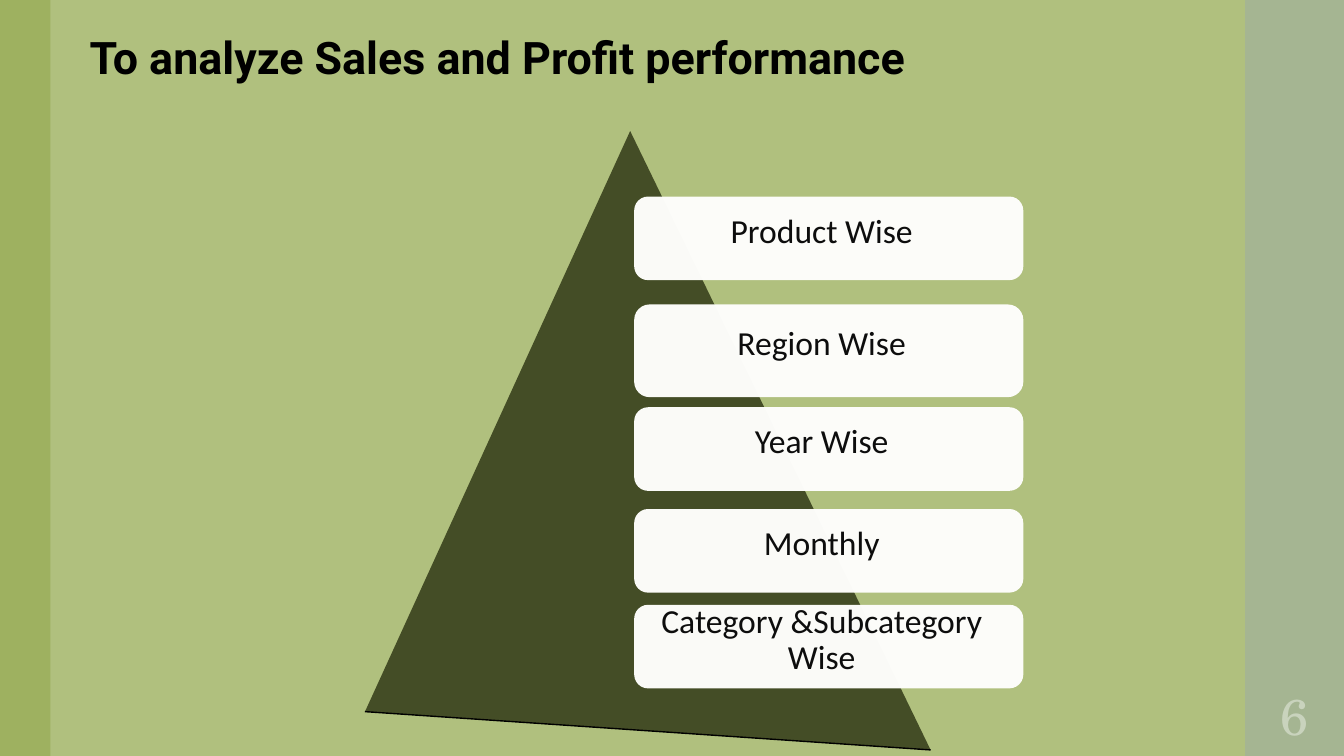
from lxml import etree
from pptx import Presentation
from pptx.dml.color import RGBColor
from pptx.enum.shapes import MSO_CONNECTOR as Connector, MSO_SHAPE as Shape
from pptx.enum.text import MSO_ANCHOR as Anchor, PP_ALIGN as Align
from pptx.oxml.ns import qn
from pptx.util import Inches, Pt

COLORS = {
    "background": "B0C07E", "right_band": "A5B592", "left_band": "9EB160",
    "pyramid": "444D26", "edge": "000000", "card": "FEFEFC",
    "card_text": "0D0D0D", "title": "000000", "number": "C9D3BD",
}
TITLE = "To analyze Sales and Profit performance"
NUMBER = "6"
BANDS = [("right_band", 12.35, 1), ("left_band", 0, 0.5)]
PYRAMID = [(6.25, 1.3), (9.23, 7.44), (3.62, 7.06)]
CARD_LEFT, CARD_WIDTH, CARD_OPACITY = 6.29, 3.86, 98
CARDS = [
    ("Product Wise", 1.95, 0.83),
    ("Region Wise", 3.02, 0.92),
    ("Year Wise", 4.04, 0.83),
    ("Monthly", 5.05, 0.83),
    ("Category &Subcategory Wise", 6, 0.83),
]
TITLE_FONT = {"name": "Roboto", "size": Pt(32), "bold": True}
CARD_FONT = {"name": "Calibri", "size": Pt(24)}
NUMBER_FONT = {"name": "Century Schoolbook", "size": Pt(36)}
CARD_FRAME = {
    "word_wrap": True, "vertical_anchor": Anchor.MIDDLE,
    "margin_left": Inches(0.07), "margin_right": Inches(0.21),
    "margin_top": 0, "margin_bottom": Inches(0.12),
}
NUMBER_FRAME = {
    "word_wrap": True, "vertical_anchor": Anchor.MIDDLE,
    "margin_left": 0, "margin_right": 0,
}


def color(name):
    return RGBColor.from_string(COLORS[name])


def set_attributes(target, values):
    for name, value in values.items():
        setattr(target, name, value)


def paint(shape, fill):
    shape.shadow.inherit = False
    shape.fill.solid()
    shape.fill.fore_color.rgb = color(fill)
    shape.line.fill.background()


def write(shape, text, frame, font, font_color, paragraph_format):
    set_attributes(shape.text_frame, frame)
    paragraph = shape.text_frame.paragraphs[0]
    set_attributes(paragraph, paragraph_format)
    run = paragraph.add_run()
    run.text = text
    set_attributes(run.font, font)
    run.font.color.rgb = color(font_color)


def add_bands(slide, height):
    for name, left, width in BANDS:
        band = slide.shapes.add_shape(
            Shape.RECTANGLE, Inches(left), 0, Inches(width), height)
        paint(band, name)


def add_pyramid(slide):
    points = [(Inches(x), Inches(y)) for x, y in PYRAMID]
    builder = slide.shapes.build_freeform(*points[0])
    builder.add_line_segments(points[1:], close=True)
    paint(builder.convert_to_shape(), "pyramid")
    edge = slide.shapes.add_connector(Connector.STRAIGHT, *points[2], *points[1])
    edge.line.color.rgb = color("edge")
    edge.line.width = Pt(1)
    etree.SubElement(edge.element.spPr, qn("a:effectLst"))


def add_cards(slide):
    for text, top, height in CARDS:
        card = slide.shapes.add_shape(
            Shape.ROUNDED_RECTANGLE, Inches(CARD_LEFT), Inches(top),
            Inches(CARD_WIDTH), Inches(height))
        paint(card, "card")
        fill_color = card.element.spPr.find(qn("a:solidFill"))[0]
        etree.SubElement(fill_color, qn("a:alpha"), val=str(CARD_OPACITY * 1000))
        write(card, text, CARD_FRAME, CARD_FONT, "card_text",
              {"alignment": Align.CENTER, "line_spacing": 0.9})


def main():
    presentation = Presentation()
    presentation.slide_width = Inches(13.33)
    presentation.slide_height = Inches(7.5)
    slide = presentation.slides.add_slide(presentation.slide_layouts[6])
    slide.background.fill.solid()
    slide.background.fill.fore_color.rgb = color("background")
    add_bands(slide, presentation.slide_height)
    add_pyramid(slide)
    add_cards(slide)
    title = slide.shapes.add_textbox(
        Inches(0.79), Inches(0.25), Inches(9.91), Inches(1.18))
    write(title, TITLE, {"word_wrap": True}, TITLE_FONT, "title",
          {"alignment": Align.LEFT})
    number = slide.shapes.add_textbox(
        Inches(12.35), Inches(6.75), Inches(0.98), Inches(0.7))
    write(number, NUMBER, NUMBER_FRAME, NUMBER_FONT, "number",
          {"alignment": Align.CENTER})
    presentation.save("out.pptx")


if __name__ == "__main__":
    main()
